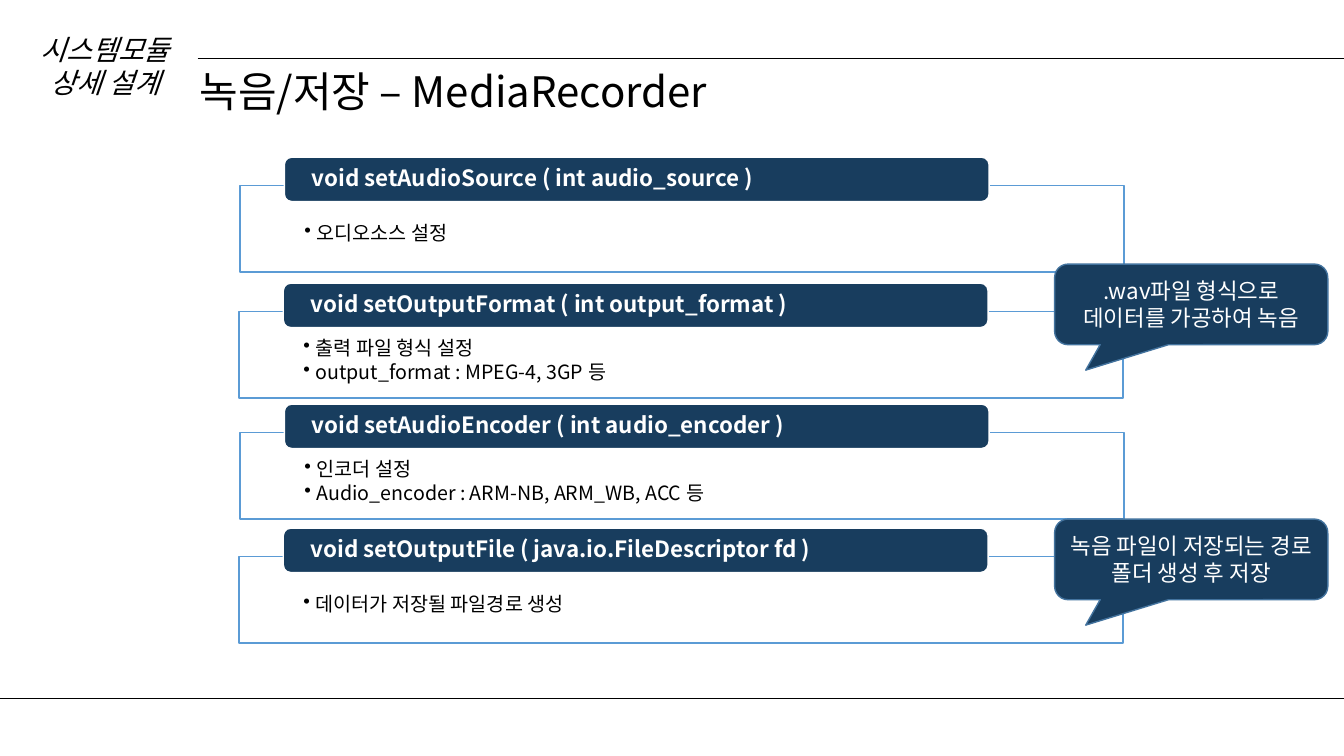
from lxml.etree import SubElement
from pptx import Presentation
from pptx.dml.color import RGBColor
from pptx.enum.shapes import MSO_CONNECTOR, MSO_SHAPE
from pptx.enum.text import MSO_ANCHOR, PP_ALIGN
from pptx.oxml.ns import qn
from pptx.util import Inches, Pt

TITLE = "녹음/저장 – MediaRecorder"
LABEL = "시스템모듈\v상세 설계"
# Top of the frame, left of the frame, heading, bullets
CARDS = [
    (1.84, 2.38, "void setAudioSource ( int audio_source )", ["오디오소스 설정"]),
    (3.09, 2.37, "void setOutputFormat ( int output_format )",
     ["출력 파일 형식 설정", "output_format : MPEG-4, 3GP 등"]),
    (4.29, 2.38, "void setAudioEncoder ( int audio_encoder )",
     ["인코더 설정", "Audio_encoder : ARM-NB, ARM_WB, ACC 등"]),
    (5.52, 2.37, "void setOutputFile ( java.io.FileDescriptor fd )",
     ["데이터가 저장될 파일경로 생성"]),
]
NOTES = [
    (5.15, "녹음 파일이 저장되는 경로\v폴더 생성 후 저장"),
    (2.62, ".wav파일 형식으로\v데이터를 가공하여 녹음"),
]
RULES = [(1.96, 0.58), (0, 6.93)]  # start of each rule, running to the right edge
WIDE, HIGH = 13.33, 7.5
FONT = "Noto Sans CJK KR"
COLORS = {"ink": "000000", "paper": "FFFFFF", "navy": "183D5E",
          "frame": "5B9BD5", "edge": "43739E"}

deck = Presentation()
deck.slide_width, deck.slide_height = Inches(WIDE), Inches(HIGH)
slide = deck.slides.add_slide(deck.slide_layouts[6])
shapes = slide.shapes


def color(name):
    return RGBColor.from_string(COLORS[name])


def write(shape, lines, size, ink, align=PP_ALIGN.LEFT, anchor=MSO_ANCHOR.TOP,
          pad=(0.1, 0.05, 0.1, 0.05), bold=False, italic=False,
          bullet=False, lead=None, after=0):
    frame = shape.text_frame
    frame.word_wrap = True
    frame.vertical_anchor = anchor
    (frame.margin_left, frame.margin_top,
     frame.margin_right, frame.margin_bottom) = map(Inches, pad)
    for n, line in enumerate(lines):
        para = frame.add_paragraph() if n else frame.paragraphs[0]
        para.text = line
        para.alignment = align
        para.line_spacing = lead
        para.space_after = Pt(after)
        props = para._p.get_or_add_pPr()
        if bullet:
            props.set("marL", str(Inches(0.12)))
            props.set("indent", str(-Inches(0.12)))
            SubElement(props, qn("a:buChar"), char="•")
        font = para.font
        font.name, font.size = FONT, Pt(size)
        font.bold, font.italic = bold, italic
        font.color.rgb = color(ink)
        SubElement(props.find(qn("a:defRPr")), qn("a:ea"), typeface=FONT)


def draw(kind, box, fill, line):
    shape = shapes.add_shape(kind, *map(Inches, box))
    shape.shadow.inherit = False
    shape.fill.solid()
    shape.fill.fore_color.rgb = color(fill)
    shape.line.color.rgb = color(line)
    shape.line.width = Pt(1)
    return shape


# Rules
for left, top in RULES:
    rule = shapes.add_connector(MSO_CONNECTOR.STRAIGHT, Inches(left), Inches(top),
                                Inches(WIDE), Inches(top))
    rule.line.color.rgb = color("ink")
    rule.line.width = Pt(0.5)
    SubElement(rule._element.spPr, qn("a:effectLst"))

# Title and section label
title = shapes.add_textbox(*map(Inches, (1.88, 0.6, 10.4, 0.61)))
write(title, [TITLE], 30, "ink")
label = shapes.add_textbox(*map(Inches, (0.21, 0.27, 1.67, 0.77)))
write(label, [LABEL], 20, "ink", PP_ALIGN.CENTER, italic=True)

# Method cards: a frame with bullets, and a heading bar over its top edge
for top, left, head, items in CARDS:
    drop = 0.38 if len(items) == 1 else 0.27
    body = draw(MSO_SHAPE.RECTANGLE, (left, top, 8.77, 0.86), "paper", "frame")
    write(body, items, 14, "ink", pad=(0.64, drop, 0.68, 0),
          bullet=True, lead=0.9, after=2.1)
    bar = draw(MSO_SHAPE.ROUNDED_RECTANGLE, (left + 0.44, top - 0.28, 6.99, 0.44),
               "navy", "paper")
    write(bar, [head], 16, "paper", anchor=MSO_ANCHOR.MIDDLE,
          pad=(0.25, 0, 0.25, 0), bold=True, lead=0.9)

# Callouts
for top, words in NOTES:
    note = draw(MSO_SHAPE.ROUNDED_RECTANGULAR_CALLOUT, (10.46, top, 2.71, 0.8),
                "navy", "edge")
    for n, value in enumerate((-0.386, 0.815, 0.167)):
        note.adjustments[n] = value
    write(note, [words], 16, "paper", PP_ALIGN.CENTER, MSO_ANCHOR.MIDDLE)

deck.save("out.pptx")
